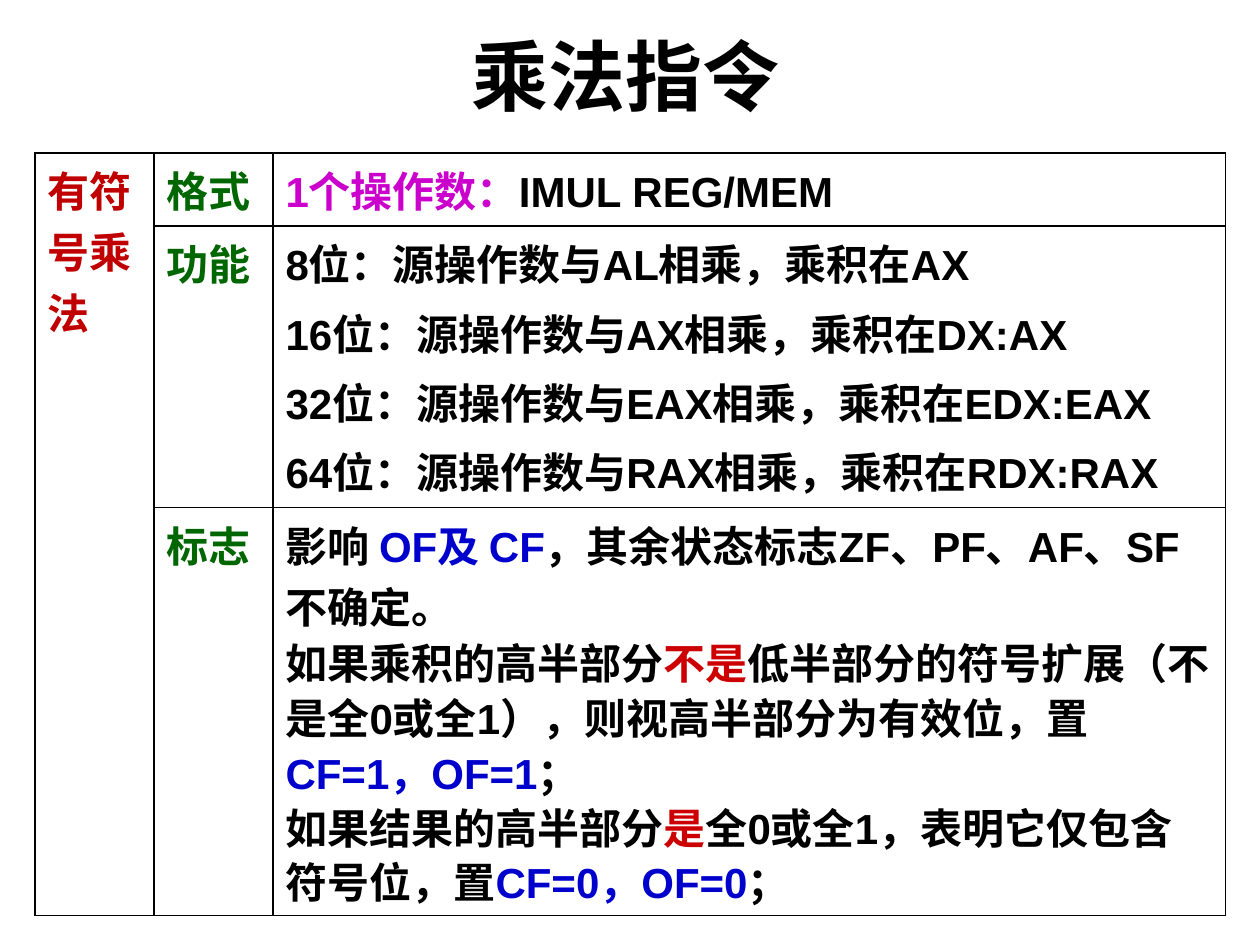
"""Build the slide on the signed multiply instruction."""
from typing import Any, NamedTuple

from lxml.etree import SubElement as Sub
from pptx import Presentation as Deck
from pptx.dml.color import RGBColor as Rgb
from pptx.enum.text import MSO_ANCHOR as Anchor, PP_ALIGN as Align
from pptx.oxml.ns import qn
from pptx.util import Pt

BLACK, GREEN, BLUE, RED = "000000", "006600", "0000CC", "CC0000"
FONT = {"name": "Arial", "bold": True}


class Run(NamedTuple):
    text: str
    tint: str = BLACK


class Para(NamedTuple):
    runs: list[Run]
    form: dict[str, Any] = {}


class Cell(NamedTuple):
    row: int
    col: int
    paras: list[Para]


def paint(font: Any, tint: str) -> None:
    font.color.rgb = Rgb.from_string(tint)


def apply(item: Any, form: dict[str, Any]) -> None:
    for key, value in form.items():
        setattr(item, key, value)


def write(frame: Any, paras: list[Para], size: float) -> None:
    frame.word_wrap = True
    for i, para in enumerate(paras):
        line = frame.add_paragraph() if i else frame.paragraphs[0]
        apply(line, para.form)
        for text, tint in para.runs:
            run = line.add_run()
            run.text = text
            apply(run.font, FONT | {"size": Pt(size)})
            paint(run.font, tint)


def frame_cell(cell: Any) -> None:
    props = cell._tc.get_or_add_tcPr()
    for side in ("lnL", "lnR", "lnT", "lnB"):
        edge = Sub(props, qn(f"a:{side}"), w=str(Pt(1)))
        fill = Sub(edge, qn("a:solidFill"))
        Sub(fill, qn("a:srgbClr"), val=BLACK)
    cell.fill.background()


def label(text: str, tint: str) -> list[Para]:
    return [Para([Run(text, tint)])]


GAP = {"space_before": Pt(4.8)}
TIGHT = {"line_spacing": 0.9}
SIZES = [(8, "AL", "AX"), (16, "AX", "DX:AX"),
         (32, "EAX", "EDX:EAX"), (64, "RAX", "RDX:RAX")]
WORK = [Para([Run(f"{bits}位：源操作数与{reg}相乘，乘积在{out}")], GAP if i else {})
        for i, (bits, reg, out) in enumerate(SIZES)]
FLAGS = [
    Para([Run("影响 "), Run("OF及 CF", BLUE),
          Run("，其余状态标志ZF、PF、AF、SF不确定。")]),
    Para([Run("如果乘积的高半部分"), Run("不是", RED),
          Run("低半部分的符号扩展（不是全0或全1），则视高半部分为有效位，置"),
          Run("CF=1，OF=1", BLUE), Run("；")], TIGHT),
    Para([Run("如果结果的高半部分"), Run("是", RED),
          Run("全0或全1，表明它仅包含符号位，置"),
          Run("CF=0，OF=0", BLUE), Run("；")], TIGHT),
]
CELLS = [
    Cell(0, 0, label("有符号乘法", "C00000")),
    Cell(0, 1, label("格式", GREEN)),
    Cell(0, 2, [Para([Run("1个操作数：", "CC00CC"), Run("IMUL REG/MEM")])]),
    Cell(1, 1, label("功能", GREEN)),
    Cell(1, 2, WORK),
    Cell(2, 1, label("标志", GREEN)),
    Cell(2, 2, FLAGS),
]
COLS = [68, 68, 544.3]
ROWS = [41.7, 161, 233]


def add_title(slide: Any, text: str) -> None:
    box = slide.shapes.add_textbox(Pt(14.4), Pt(15.1), Pt(686), Pt(55.4))
    box.text_frame.vertical_anchor = Anchor.MIDDLE
    write(box.text_frame, [Para([Run(text)], {"alignment": Align.CENTER})], 44)


def add_grid(slide: Any, cells: list[Cell]) -> None:
    grid = slide.shapes.add_table(
        len(ROWS), len(COLS), Pt(20), Pt(87.4), Pt(sum(COLS)), Pt(sum(ROWS))).table
    apply(grid, {"first_row": False, "horz_banding": False})
    for col, width in zip(grid.columns, COLS):
        col.width = Pt(width)
    for row, height in zip(grid.rows, ROWS):
        row.height = Pt(height)
    for cell in grid.iter_cells():
        frame_cell(cell)
    grid.cell(0, 0).merge(grid.cell(len(ROWS) - 1, 0))
    for row, col, paras in cells:
        write(grid.cell(row, col).text_frame, paras, 24)


def main() -> None:
    deck = Deck()
    apply(deck, {"slide_width": Pt(720), "slide_height": Pt(540)})
    slide = deck.slides.add_slide(deck.slide_layouts[6])
    add_title(slide, "乘法指令")
    add_grid(slide, CELLS)
    deck.save("out.pptx")


if __name__ == "__main__":
    main()
